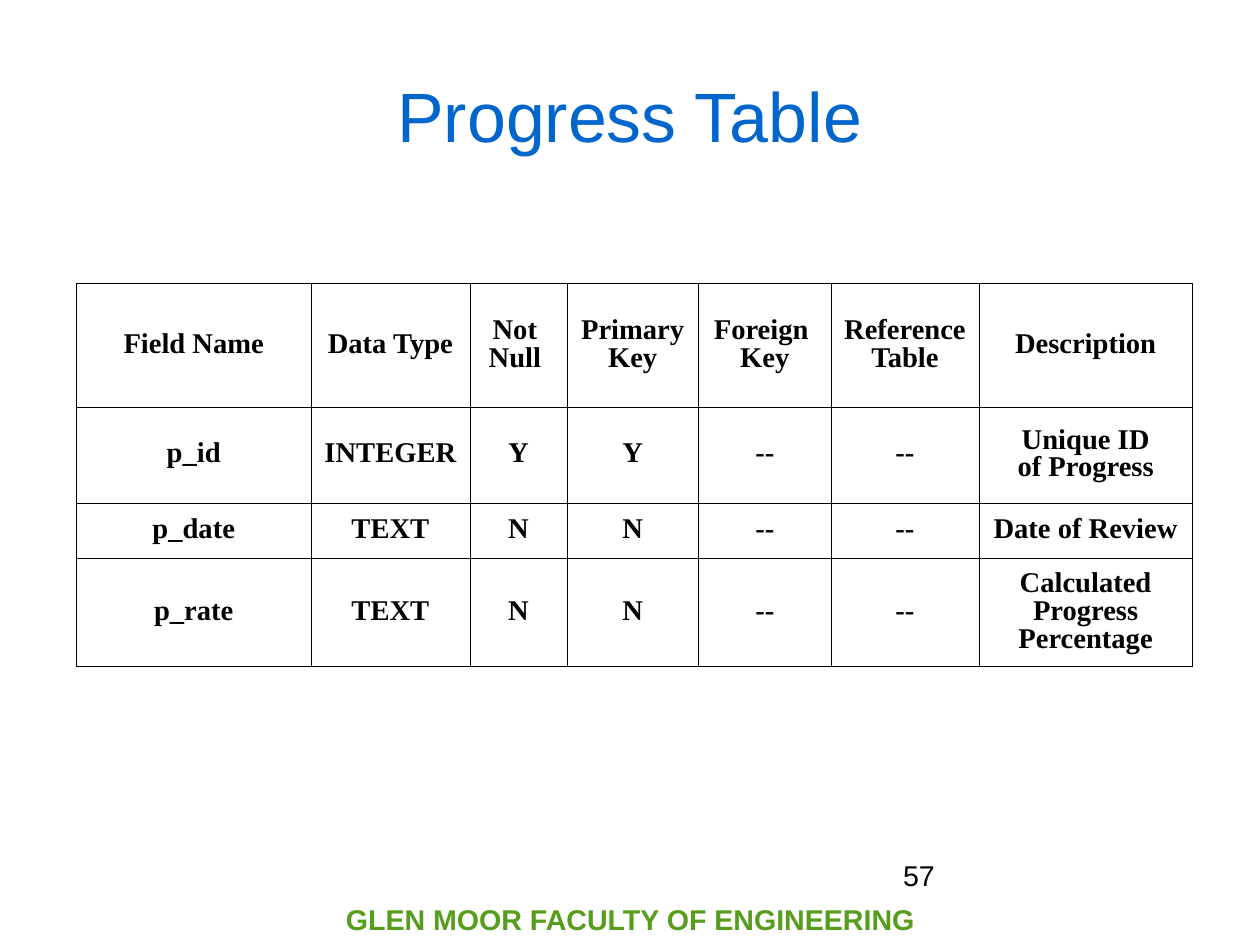
from lxml import etree
from pptx import Presentation
from pptx import util as u
from pptx.dml.color import RGBColor
from pptx.enum import text
from pptx.oxml.ns import qn

COLORS = {"title": "0066CC", "footer": "579D1C", "ink": "000000", "paper": "FFFFFF"}
COLUMN_WIDTHS = [5.21, 3.53, 2.16, 2.92, 2.95, 3.28, 4.75]
ROW_HEIGHTS = [2.74, 2.13, 1.24, 2.39]
FIELDS = [
    ["Field Name", "Data Type", "Not \nNull ", "Primary \nKey", "Foreign \nKey",
     "Reference\nTable", "Description"],
    ["p_id", "INTEGER", "Y", "Y", "--", "--", "Unique ID\nof Progress"],
    ["p_date", "TEXT", "N", "N", "--", "--", "Date of Review"],
    ["p_rate", "TEXT", "N", "N", "--", "--", "Calculated\nProgress Percentage"],
]


def rgb(name):
    return RGBColor.from_string(COLORS[name])


def write_lines(frame, wording, color="ink", size=18, font="Arial", bold=False,
                align=text.PP_ALIGN.CENTER, spacing=1.0):
    """Write each line of the wording as a paragraph with one run."""
    frame.word_wrap = True
    for index, line in enumerate(wording.split("\n")):
        paragraph = frame.add_paragraph() if index else frame.paragraphs[0]
        paragraph.alignment = align
        paragraph.line_spacing = spacing
        run = paragraph.add_run()
        run.text = line
        run.font.name = font
        run.font.size = u.Pt(size)
        run.font.bold = bold
        run.font.color.rgb = rgb(color)


def add_label(slide, wording, left, top, width, height,
              anchor=text.MSO_ANCHOR.MIDDLE, top_margin=0, **style):
    label = slide.shapes.add_textbox(u.Cm(left), u.Cm(top), u.Cm(width), u.Cm(height))
    frame = label.text_frame
    frame.margin_left = frame.margin_right = frame.margin_bottom = 0
    frame.margin_top = u.Cm(top_margin)
    frame.vertical_anchor = anchor
    write_lines(frame, wording, **style)


def outline_cell(cell):
    properties = cell._tc.get_or_add_tcPr()
    for position, side in enumerate(("a:lnL", "a:lnR", "a:lnT", "a:lnB")):
        border = etree.Element(qn(side), w=str(u.Pt(0.06)))
        fill = etree.SubElement(border, qn("a:solidFill"))
        etree.SubElement(fill, qn("a:srgbClr"), val=COLORS["ink"])
        properties.insert(position, border)


def add_field_table(slide, left, top):
    table = slide.shapes.add_table(
        len(ROW_HEIGHTS), len(COLUMN_WIDTHS), u.Cm(left), u.Cm(top),
        u.Cm(sum(COLUMN_WIDTHS)), u.Cm(sum(ROW_HEIGHTS))).table
    table.first_row = table.horz_banding = False
    for column, width in zip(table.columns, COLUMN_WIDTHS):
        column.width = u.Cm(width)
    for row, height, entries in zip(table.rows, ROW_HEIGHTS, FIELDS):
        row.height = u.Cm(height)
        for cell, entry in zip(row.cells, entries):
            cell.fill.solid()
            cell.fill.fore_color.rgb = rgb("paper")
            cell.vertical_anchor = text.MSO_ANCHOR.MIDDLE
            write_lines(cell.text_frame, entry, font="Times New Roman",
                        bold=True, spacing=0.87)
            outline_cell(cell)


def main():
    deck = Presentation()
    deck.slide_width, deck.slide_height = u.Cm(28), u.Cm(21)
    slide = deck.slides.add_slide(deck.slide_layouts[6])
    add_label(slide, "GLEN MOOR FACULTY OF ENGINEERING", 6.07, 19.89, 15.88, 1.09,
              color="footer", bold=True)
    add_label(slide, "Progress Table", 1.4, 0.84, 25.2, 3.5, top_margin=0.1,
              color="title", size=44, spacing=0.94)
    add_field_table(slide, 1.7, 6.3)
    add_label(slide, "57", 20.07, 19.13, 6.5, 1.45, anchor=text.MSO_ANCHOR.TOP,
              align=text.PP_ALIGN.LEFT, spacing=0.94)
    deck.save("out.pptx")


if __name__ == "__main__":
    main()
